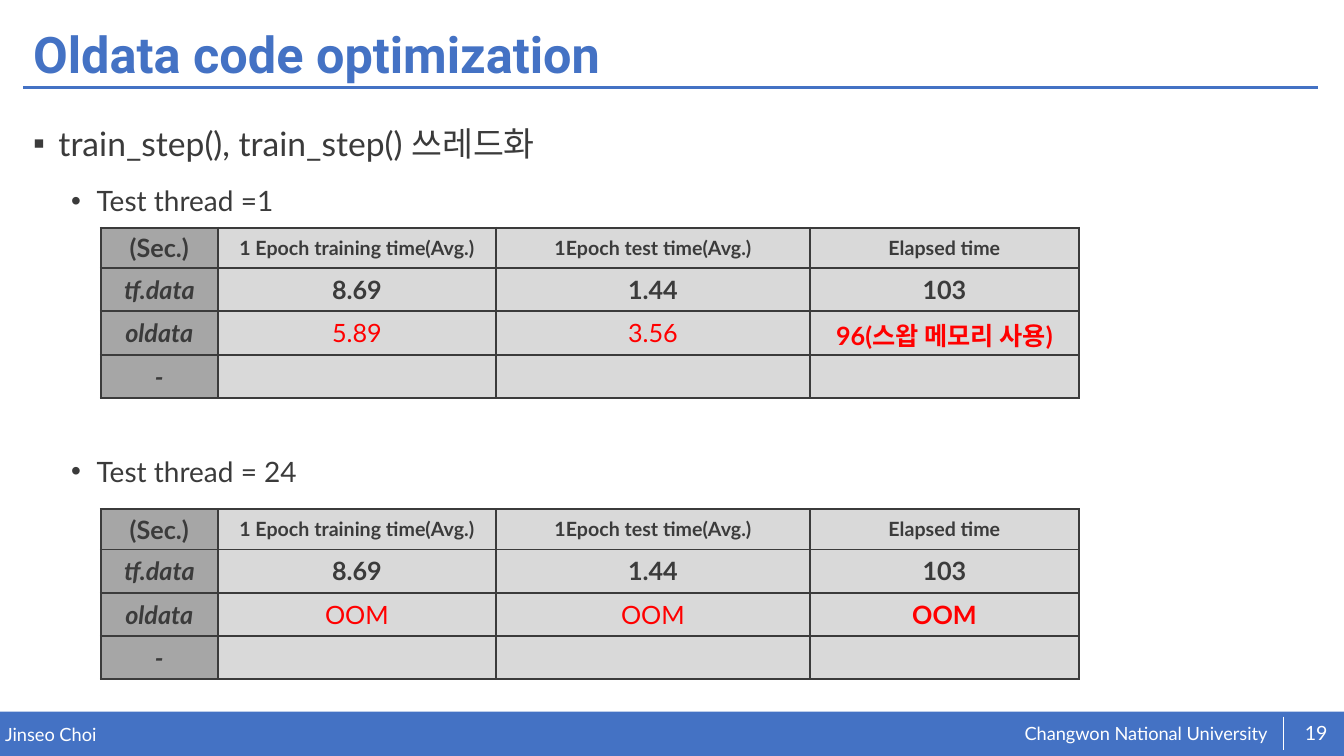
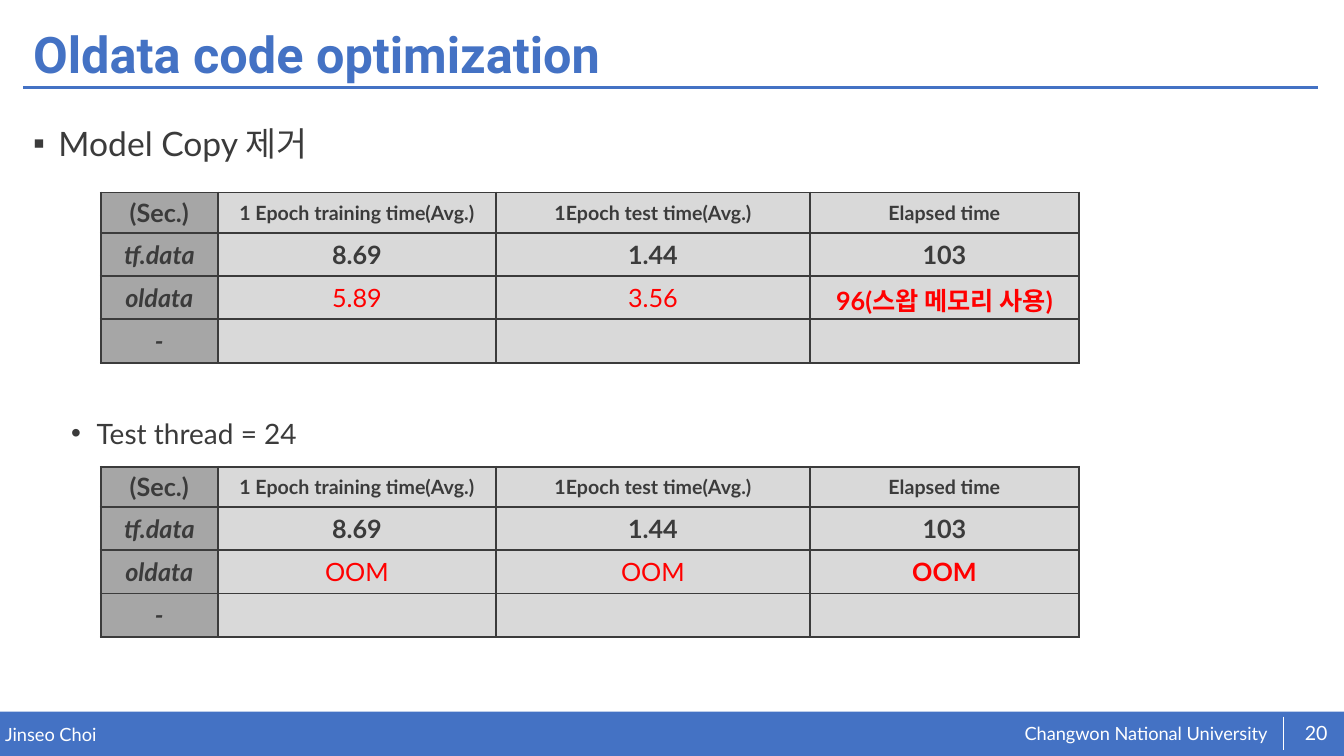
from lxml.etree import SubElement
from pptx import Presentation
from pptx.dml.color import RGBColor
from pptx.enum.shapes import MSO_CONNECTOR, MSO_SHAPE
from pptx.enum.text import MSO_ANCHOR, MSO_AUTO_SIZE, PP_ALIGN
from pptx.oxml.ns import qn
from pptx.util import Cm, Pt

BLUE = RGBColor(0x44, 0x72, 0xC4)
WHITE = RGBColor(0xFF, 0xFF, 0xFF)
INK = RGBColor(0x3B, 0x3B, 0x3B)
RED = RGBColor(0xFF, 0x00, 0x00)
LABEL_GRAY = RGBColor(0xA6, 0xA6, 0xA6)
CELL_GRAY = RGBColor(0xD9, 0xD9, 0xD9)

COLUMN_WIDTHS = (2.95, 7.01, 7.91, 6.78)
ROW_HEIGHTS = (0.97, 1.09, 1.09, 1.09)
BULLETS = (("▪", 0.64, 24), ("•", 1.6, 20))
HEADINGS = ("(Sec.)", "1 Epoch training time(Avg.)", "1Epoch test time(Avg.)", "Elapsed time")
BASELINE = ("tf.data", "8.69", "1.44", "103")
SINGLE_THREAD = ("5.89", "3.56", "96(스왑 메모리 사용)")
MANY_THREADS = ("OOM", "OOM", "OOM")


class Deck:
    def __init__(self):
        self.presentation = Presentation()
        self.presentation.slide_width = Cm(33.87)
        self.presentation.slide_height = Cm(19.05)
        self.layout = self.presentation.slide_layouts[1]
        self.slide = None
        self.place_placeholders()

    def place_placeholders(self):
        title, body, *unused = self.layout.placeholders
        for shape, top, height in ((title, 0.46, 1.96), (body, 2.57, 14.3)):
            shape.left, shape.top = Cm(0.58), Cm(top)
            shape.width, shape.height = Cm(32.66), Cm(height)
        for shape in unused:
            shape.element.getparent().remove(shape.element)

    def add_slide(self, number, title):
        is_first = self.slide is None
        self.slide = self.presentation.slides.add_slide(self.layout)
        if is_first:
            self.add_frame()
        self.title(title)
        self.text(str(number), 32.56, 17.96, 1.22, 1.02, 14, PP_ALIGN.CENTER)

    def add_frame(self):
        frame = (
            self.band(0, 17.93, 33.87, 1.12),
            self.text("Changwon National University", 25.82, 18.19, 6.4, 0.58, 13),
            self.text("Jinseo Choi", 0.13, 18.21, 16.64, 0.56, 13),
            self.line(0.58, 2.21, 33.22, 2.21, BLUE, 2),
            self.line(32.33, 18.06, 32.33, 18.9, WHITE, 0.5),
        )
        for shape in frame:
            self.layout.shapes.element.append(shape.element)

    def run(self, paragraph, text, size, color, font="Lato", bold=False, italic=False):
        run = paragraph.add_run()
        run.text = text
        run.font.name = font
        run.font.size = Pt(size)
        run.font.bold = bold
        run.font.italic = italic
        run.font.color.rgb = color

    def band(self, left, top, width, height):
        shape = self.slide.shapes.add_shape(
            MSO_SHAPE.RECTANGLE, Cm(left), Cm(top), Cm(width), Cm(height))
        shape.shadow.inherit = False
        shape.fill.solid()
        shape.fill.fore_color.rgb = BLUE
        shape.line.fill.background()
        return shape

    def line(self, left, top, right, bottom, color, width):
        connector = self.slide.shapes.add_connector(
            MSO_CONNECTOR.STRAIGHT, Cm(left), Cm(top), Cm(right), Cm(bottom))
        connector.line.color.rgb = color
        connector.line.width = Pt(width)
        SubElement(connector.element.spPr, qn("a:effectLst"))
        return connector

    def text(self, text, left, top, width, height, size, alignment=PP_ALIGN.LEFT):
        shape = self.slide.shapes.add_textbox(Cm(left), Cm(top), Cm(width), Cm(height))
        frame = shape.text_frame
        frame.word_wrap = True
        frame.vertical_anchor = MSO_ANCHOR.MIDDLE
        frame.margin_left = frame.margin_right = frame.margin_top = frame.margin_bottom = 0
        paragraph = frame.paragraphs[0]
        paragraph.alignment = alignment
        self.run(paragraph, text, size, WHITE)
        return shape

    def title(self, text):
        frame = self.slide.shapes.title.text_frame
        frame.auto_size = MSO_AUTO_SIZE.NONE
        frame.vertical_anchor = MSO_ANCHOR.MIDDLE
        paragraph = frame.paragraphs[0]
        paragraph.alignment = PP_ALIGN.LEFT
        paragraph.line_spacing = 0.9
        self.run(paragraph, text, 36, BLUE, "Roboto", bold=True)

    def bullets(self, items):
        frame = self.slide.placeholders[1].text_frame
        frame.auto_size = MSO_AUTO_SIZE.NONE
        for index, (level, space_before, text) in enumerate(items):
            paragraph = frame.add_paragraph() if index else frame.paragraphs[0]
            symbol, indent, size = BULLETS[level]
            paragraph.level = level
            paragraph.line_spacing = 1.4
            paragraph.space_before = Pt(space_before)
            properties = paragraph._p.get_or_add_pPr()
            properties.set("marL", str(Cm(indent)))
            properties.set("indent", str(-Cm(0.64)))
            SubElement(properties, qn("a:buFont"), typeface="Arial")
            SubElement(properties, qn("a:buChar"), char=symbol)
            self.run(paragraph, text, size, INK)

    def cell(self, cell, text, row, column):
        properties = cell._tc.get_or_add_tcPr()
        for side in ("a:lnL", "a:lnR", "a:lnT", "a:lnB"):
            border = SubElement(properties, qn(side), w=str(Pt(1.5)))
            fill = SubElement(border, qn("a:solidFill"))
            SubElement(fill, qn("a:srgbClr"), val=str(INK))
        cell.fill.solid()
        cell.fill.fore_color.rgb = CELL_GRAY if column else LABEL_GRAY
        cell.vertical_anchor = MSO_ANCHOR.MIDDLE
        if not text:
            return
        is_result = row == 2 and column > 0
        paragraph = cell.text_frame.paragraphs[0]
        paragraph.alignment = PP_ALIGN.CENTER
        self.run(paragraph, text,
                 size=14 if row == 0 and column else 18,
                 color=RED if is_result else INK,
                 bold=not is_result or column == 3,
                 italic=row > 0 and column == 0)

    def timing_table(self, top, results):
        rows = (HEADINGS, BASELINE, ("oldata", *results), ("-", "", "", ""))
        table = self.slide.shapes.add_table(
            len(rows), len(HEADINGS), Cm(2.54), Cm(top),
            Cm(sum(COLUMN_WIDTHS)), Cm(sum(ROW_HEIGHTS))).table
        table.first_row = table.horz_banding = False
        for column, width in zip(table.columns, COLUMN_WIDTHS):
            column.width = Cm(width)
        for row, height in zip(table.rows, ROW_HEIGHTS):
            row.height = Cm(height)
        for row, texts in enumerate(rows):
            for column, text in enumerate(texts):
                self.cell(table.cell(row, column), text, row, column)


def main():
    deck = Deck()

    deck.add_slide(19, "Oldata code optimization")
    deck.bullets((
        (0, 0, "train_step(), train_step() 쓰레드화"),
        (1, 5, "Test thread =1"),
        (1, 159.4, "Test thread = 24"),
    ))
    deck.timing_table(5.74, SINGLE_THREAD)
    deck.timing_table(12.83, MANY_THREADS)

    deck.add_slide(20, "Oldata code optimization")
    deck.bullets((
        (0, 0, "Model Copy 제거"),
        (1, 171.1, "Test thread = 24"),
    ))
    deck.timing_table(4.85, SINGLE_THREAD)
    deck.timing_table(11.76, MANY_THREADS)

    deck.presentation.save("out.pptx")


if __name__ == "__main__":
    main()
